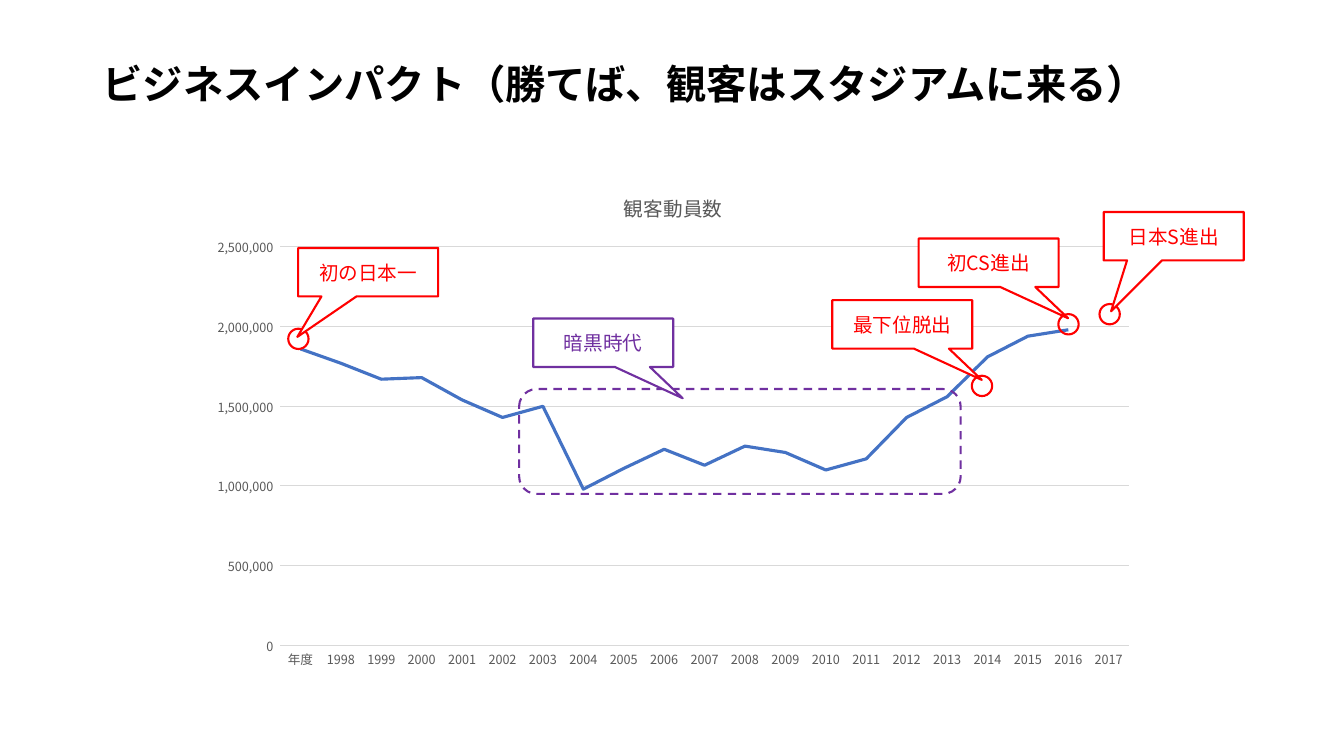
from lxml.etree import SubElement
from pptx import Presentation
from pptx.chart.data import CategoryChartData
from pptx.dml.color import RGBColor
from pptx.enum.chart import XL_CHART_TYPE as ChartType, XL_TICK_MARK as TickMark
from pptx.enum.dml import MSO_LINE as LineStyle
from pptx.enum.shapes import MSO_SHAPE as ShapeType
from pptx.enum.text import MSO_ANCHOR as Anchor, PP_ALIGN as Align
from pptx.oxml.ns import qn
from pptx.util import Pt

COLORS = {
    "black": "000000",
    "white": "FFFFFF",
    "gray": "595959",
    "grid": "D9D9D9",
    "blue": "4472C4",
    "red": "FF0000",
    "purple": "7030A0",
}
FONT = "Noto Sans CJK JP"
CALLOUT_SIZE = (100, 34.6)
MARKER_SIZE = 14.5

ATTENDANCE_TITLE = "観客動員数"
YEARS = ["年度"] + [str(year) for year in range(1998, 2018)]
ATTENDANCE = [
    1860000, 1770000, 1670000, 1680000, 1540000, 1430000, 1500000,
    980000, 1110000, 1230000, 1130000, 1250000, 1210000, 1100000,
    1170000, 1430000, 1560000, 1810000, 1940000, 1980000, None,
]

DEFAULT_TAIL = (0.568, 1.146)
MILESTONES = [
    ("最下位脱出", (694.2, 268.4), (594.5, 214.4), DEFAULT_TAIL),
    ("初CS進出", (756, 224.4), (656.2, 170.4), DEFAULT_TAIL),
    ("日本S進出", (785.4, 217.2), (788.4, 151.4), (-0.447, 1.55)),
    ("初の日本一", (205.9, 234.8), (213, 177.1), (-0.506, 1.337)),
]


class SlideBuilder:
    def __init__(self, slide):
        self.slide = slide

    def color(self, name):
        return RGBColor.from_string(COLORS[name])

    def style_font(self, font, size, color, bold=False):
        font.name = FONT
        font.size = Pt(size)
        font.bold = bold
        font.color.rgb = self.color(color)

    def style_run(self, run, size, color, bold=False):
        self.style_font(run.font, size, color, bold)
        SubElement(run.font._element, qn("a:ea"), typeface=FONT)

    def style_line(self, line, color, width):
        line.color.rgb = self.color(color)
        line.width = Pt(width)

    def title(self, text, left, top, width, height):
        shape = self.slide.shapes.title
        shape.left, shape.top = Pt(left), Pt(top)
        shape.width, shape.height = Pt(width), Pt(height)
        frame = shape.text_frame
        frame.text = text
        frame.vertical_anchor = Anchor.MIDDLE
        paragraph = frame.paragraphs[0]
        paragraph.alignment = Align.LEFT
        paragraph.line_spacing = 0.9
        self.style_run(paragraph.runs[0], 28.8, "black", bold=True)

    def line_chart(self, title, categories, values, left, top, width, height):
        data = CategoryChartData(number_format="#,##0_);[Red]\\(#,##0\\)")
        data.categories = categories
        data.add_series(title, values)
        chart = self.slide.shapes.add_chart(
            ChartType.LINE, Pt(left), Pt(top), Pt(width), Pt(height), data
        ).chart
        self.style_font(chart.font, 10, "black")
        chart.has_legend = False
        chart.has_title = True
        chart.chart_title.include_in_layout = False
        frame = chart.chart_title.text_frame
        frame.text = title
        self.style_run(frame.paragraphs[0].runs[0], 14, "gray")

        for axis in (chart.category_axis, chart.value_axis):
            axis.major_tick_mark = TickMark.NONE
            axis.minor_tick_mark = TickMark.NONE
            self.style_font(axis.tick_labels.font, 9, "gray")
        self.style_line(chart.category_axis.format.line, "grid", 0.75)
        value_axis = chart.value_axis
        value_axis.minimum_scale = 0
        value_axis.maximum_scale = 2500000
        value_axis.major_unit = 500000
        value_axis.format.line.fill.background()
        value_axis.has_major_gridlines = True
        self.style_line(value_axis.major_gridlines.format.line, "grid", 0.75)

        plot = chart.plots[0]
        plot.vary_by_categories = False
        series = plot.series[0]
        series.smooth = False
        self.style_line(series.format.line, "blue", 2.25)

    def outline(self, shape_type, left, top, width, height, color):
        shape = self.slide.shapes.add_shape(
            shape_type, Pt(left), Pt(top), Pt(width), Pt(height)
        )
        shape.shadow.inherit = False
        shape.fill.background()
        self.style_line(shape.line, color, 1.5)
        return shape

    def marker(self, left, top, color):
        self.outline(ShapeType.OVAL, left, top, MARKER_SIZE, MARKER_SIZE, color)

    def callout(self, text, left, top, tail, color):
        shape = self.outline(
            ShapeType.RECTANGULAR_CALLOUT, left, top, *CALLOUT_SIZE, color
        )
        shape.adjustments[0], shape.adjustments[1] = tail
        shape.fill.solid()
        shape.fill.fore_color.rgb = self.color("white")
        frame = shape.text_frame
        frame.text = text
        frame.word_wrap = True
        frame.vertical_anchor = Anchor.MIDDLE
        paragraph = frame.paragraphs[0]
        paragraph.alignment = Align.CENTER
        self.style_run(paragraph.runs[0], 14, color)

    def dashed_area(self, left, top, width, height, color):
        shape = self.outline(
            ShapeType.ROUNDED_RECTANGLE, left, top, width, height, color
        )
        shape.line.dash_style = LineStyle.DASH


def main():
    presentation = Presentation()
    presentation.slide_width = Pt(960)
    presentation.slide_height = Pt(540)
    slide = presentation.slides.add_slide(presentation.slide_layouts[5])
    builder = SlideBuilder(slide)

    builder.title(
        "ビジネスインパクト（勝てば、観客はスタジアムに来る）", 66, 28.8, 828, 65.5
    )
    builder.line_chart(
        ATTENDANCE_TITLE, YEARS, ATTENDANCE, 141.8, 123.1, 678.2, 360.7
    )
    for text, marker, callout, tail in MILESTONES:
        builder.marker(*marker, "red")
        builder.callout(text, *callout, tail, "red")
    builder.dashed_area(370.8, 277.9, 315.4, 74.9, "purple")
    builder.callout("暗黒時代", 380.9, 227.5, DEFAULT_TAIL, "purple")

    presentation.save("out.pptx")


if __name__ == "__main__":
    main()
